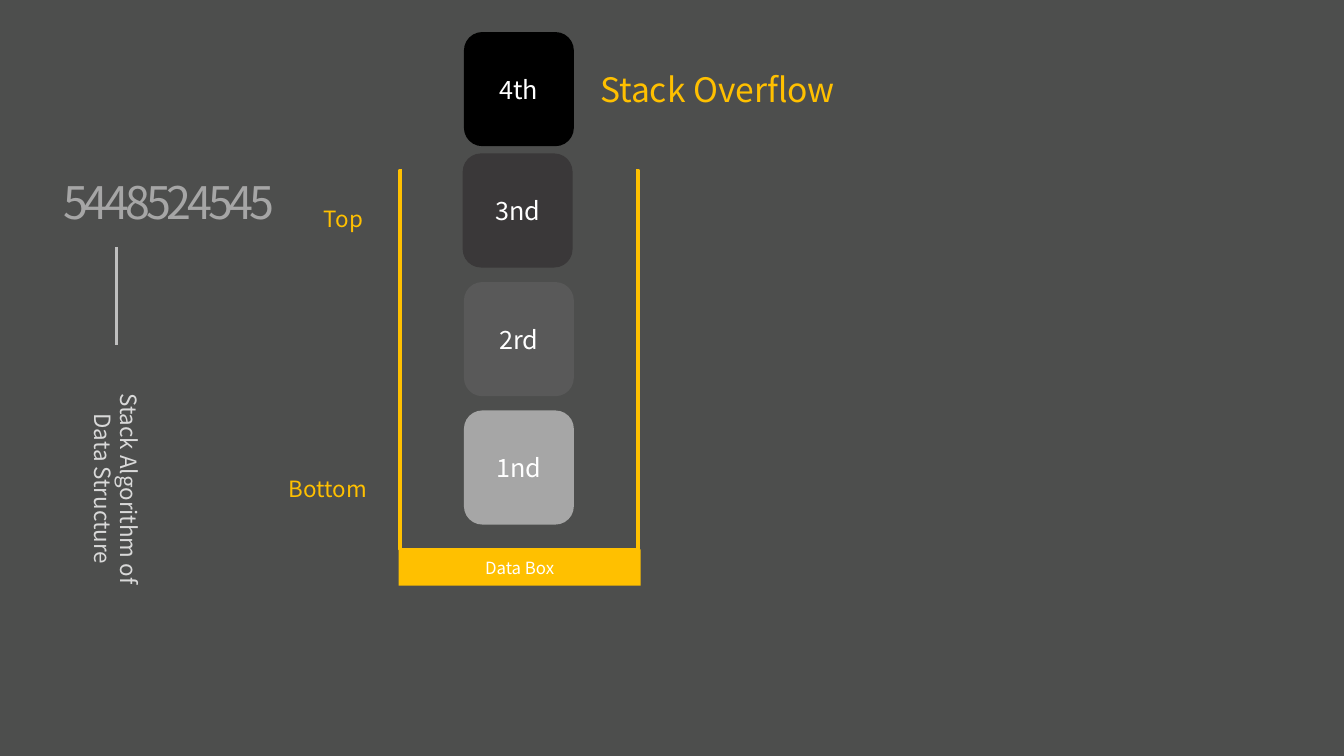
from pptx import Presentation
from pptx.dml.color import RGBColor
from pptx.enum import shapes, text
from pptx.util import Pt
from lxml import etree

THEME = {
    "font": "Noto Sans CJK KR",
    "background": "4D4E4D", "gold": "FFC000", "white": "FFFFFF",
    "rule": "BFBFBF", "number": "A6A6A6", "caption": "D9D9D9",
    "small": 12, "label": 16, "block": 18, "heading": 24, "large": 32,
}

# wording, (left, top, width, height), size, colour, alignment, rotation, letter spacing
LABELS = [
    ("Stack Algorithm of Data Structure", (-2.16, 326.16, 169.92, 46.08),
     "label", "caption", "CENTER", 90, 0),
    ("Top", (163.44, 143.28, 102.96, 26.64), "label", "gold", "RIGHT", 0, 0),
    ("Bottom", (166.32, 335.52, 102.96, 26.64), "label", "gold", "RIGHT", 0, 0),
    ("Stack Overflow", (357.12, 45.36, 246.24, 36), "heading", "gold", "RIGHT", 0, 0),
    ("5448524545", (38.16, 120.96, 168.48, 46.08), "large", "number", "LEFT", 0, -3),
]

# wording, left, top, fill
BLOCKS = [
    ("1nd", 331.4, 293.2, "A6A6A6"),
    ("2rd", 331.4, 201.5, "595959"),
    ("3nd", 330.5, 109.6, "3A3839"),
    ("4th", 331.4, 22.9, "000000"),
]
BLOCK_SIZE = (78.5, 81.5)

DATA_BOX = "Data Box"
BASE = (284.8, 392.4, 172.8, 25.9)
WALLS = (285.8, 121.7, 169.9, 270.7)
OPENING = (287.3, 113.8, 167, 15.1)
RULE = (83.52, 176.4, 246.24)  # x, top, bottom


def colour(value):
    return RGBColor.from_string(THEME.get(value, value))


def write(shape, wording, size, ink, alignment="CENTER", spacing=0):
    frame = shape.text_frame
    frame.text = wording
    frame.word_wrap = True
    paragraph = frame.paragraphs[0]
    paragraph.alignment = text.PP_ALIGN[alignment]
    run = paragraph.runs[0]
    run.font.name = THEME["font"]
    run.font.size = Pt(THEME[size])
    run.font.color.rgb = colour(ink)
    if spacing:
        run.font._element.set("spc", str(spacing * 100))
    return frame


def add_label(slide, wording, frame, size, ink, alignment, rotation, spacing):
    box = slide.shapes.add_textbox(*map(Pt, frame))
    box.rotation = rotation
    text_frame = write(box, wording, size, ink, alignment, spacing)
    text_frame.auto_size = text.MSO_AUTO_SIZE.SHAPE_TO_FIT_TEXT


def add_box(parent, kind, frame, fill=None, line=None, wording="", size="block"):
    shape = parent.shapes.add_shape(kind, *map(Pt, frame))
    shape.shadow.inherit = False
    if fill:
        shape.fill.solid()
        shape.fill.fore_color.rgb = colour(fill)
    else:
        shape.fill.background()
    if line:
        shape.line.color.rgb = colour(line)
        shape.line.width = Pt(2.5)
    else:
        shape.line.fill.background()
    if wording:
        write(shape, wording, size, "white").vertical_anchor = text.MSO_ANCHOR.MIDDLE


def add_rule(slide):
    x, top, bottom = RULE
    rule = slide.shapes.add_connector(
        shapes.MSO_CONNECTOR.STRAIGHT, Pt(x), Pt(top), Pt(x), Pt(bottom))
    rule.line.color.rgb = colour("rule")
    rule.line.width = Pt(2.25)
    properties = rule._element.spPr
    namespace = "http://schemas.openxmlformats.org/drawingml/2006/main"
    etree.SubElement(properties, f"{{{namespace}}}effectLst")


def add_data_box(slide):
    """Group the base, the walls and the cover that opens the top edge."""
    group = slide.shapes.add_group_shape()
    rectangle = shapes.MSO_SHAPE.RECTANGLE
    add_box(group, rectangle, BASE, fill="gold", wording=DATA_BOX, size="small")
    add_box(group, rectangle, WALLS, line="gold")
    add_box(group, shapes.MSO_SHAPE.ROUNDED_RECTANGLE, OPENING, fill="background")


def main():
    presentation = Presentation()
    presentation.slide_width, presentation.slide_height = Pt(960), Pt(540)
    slide = presentation.slides.add_slide(presentation.slide_layouts[6])
    slide.background.fill.solid()
    slide.background.fill.fore_color.rgb = colour("background")
    add_rule(slide)
    add_data_box(slide)
    for label in LABELS:
        add_label(slide, *label)
    for wording, left, top, fill in BLOCKS:
        add_box(slide, shapes.MSO_SHAPE.ROUNDED_RECTANGLE,
                (left, top, *BLOCK_SIZE), fill=fill, wording=wording)
    presentation.save("out.pptx")


if __name__ == "__main__":
    main()
